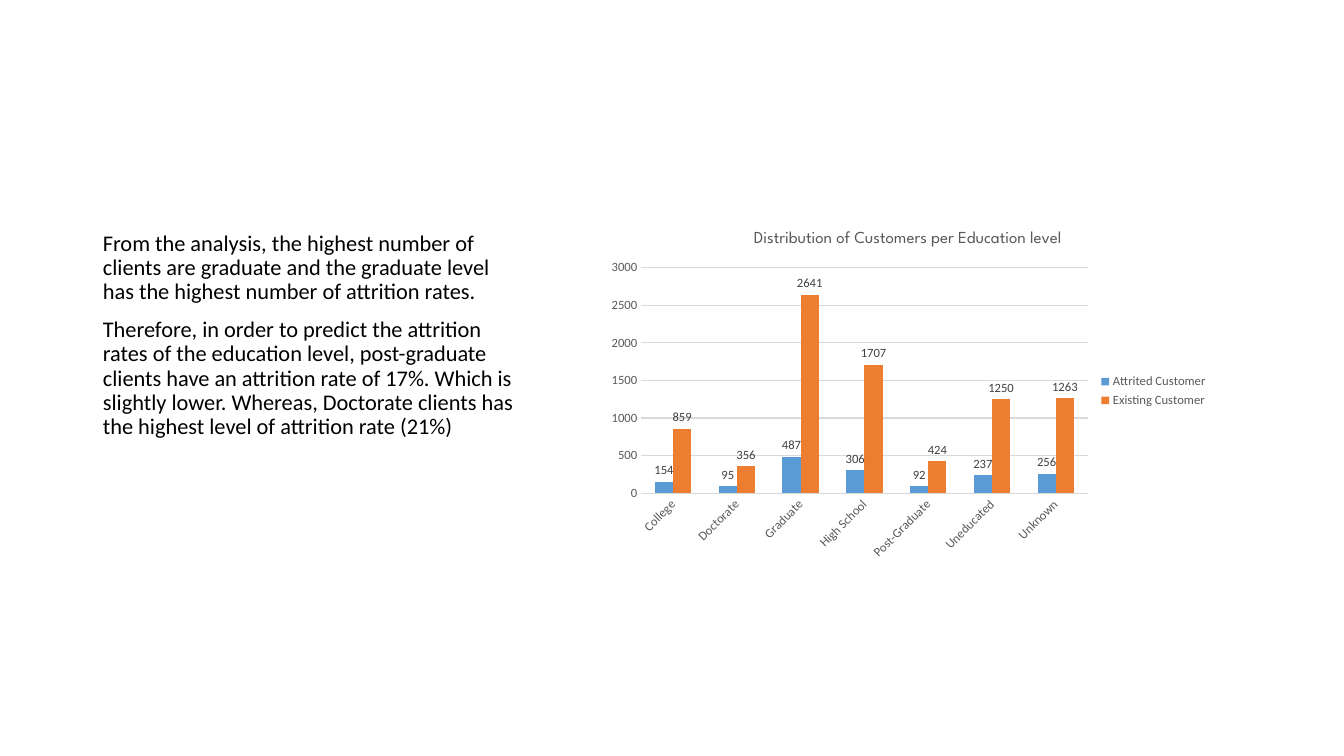
from dataclasses import dataclass

import pptx
import pptx.chart.data
import pptx.dml.color
import pptx.enum.chart
import pptx.enum.text
import pptx.oxml
import pptx.oxml.ns
import pptx.util
from pptx.util import Inches


@dataclass(frozen=True)
class Theme:
    """Colours, fonts and type sizes of the slide."""
    ink: str = "000000"
    muted: str = "595959"
    label: str = "404040"
    grid: str = "D9D9D9"
    series: tuple = ("5B9BD5", "ED7D31")
    body_font: str = "Calibri"
    title_font: str = "League Spartan"
    body_size: int = 16
    title_size: int = 12
    chart_size: int = 10
    small_size: int = 9


PARAGRAPHS = (
    "From the analysis, the highest number of clients are graduate and the "
    "graduate level has the highest number of attrition rates.",
    "Therefore, in order to predict the attrition rates of the education level, "
    "post-graduate clients have an attrition rate of 17%. Which is slightly lower. "
    "Whereas, Doctorate clients has the highest level of attrition rate (21%)",
)
CHART_TITLE = "Distribution of Customers per Education level"
EDUCATION_LEVELS = ("College", "Doctorate", "Graduate", "High School",
                    "Post-Graduate", "Uneducated", "Unknown")
CUSTOMERS = {
    "Attrited Customer": (154, 95, 487, 306, 92, 237, 256),
    "Existing Customer": (859, 356, 2641, 1707, 424, 1250, 1263),
}
PLOT_AREA = {"x": 0.07, "y": 0.15, "w": 0.72, "h": 0.64}


class SlideBuilder:
    """Holds the theme and the current slide, and adds elements to it."""

    def __init__(self, page, theme):
        """Keep the slide and its theme."""
        self.page = page
        self.theme = theme

    def style_font(self, font, size, color, name=None):
        """Apply size, colour and typeface to a font."""
        font.name = name or self.theme.body_font
        font.size = pptx.util.Pt(size)
        font.bold = False
        font.color.rgb = pptx.dml.color.RGBColor.from_string(color)

    def body(self, paragraphs, left, top, width, height):
        """Fill the caption placeholder and remove the unused ones."""
        for holder in list(self.page.placeholders):
            if holder.placeholder_format.idx != 2:
                holder.element.getparent().remove(holder.element)
        box = self.page.placeholders[2]
        box.left, box.top, box.width, box.height = left, top, width, height
        frame = box.text_frame
        frame.text = "\n".join(paragraphs)
        frame.word_wrap = True
        frame.auto_size = pptx.enum.text.MSO_AUTO_SIZE.NONE
        frame.vertical_anchor = pptx.enum.text.MSO_ANCHOR.TOP
        for para in frame.paragraphs:
            para.line_spacing = 0.9
            para.space_before = pptx.util.Pt(10)
            for span in para.runs:
                self.style_font(span.font, self.theme.body_size, self.theme.ink)

    def column_chart(self, title, categories, series, left, top, width, height):
        """Add a clustered column chart with labels and a legend."""
        theme = self.theme
        data = pptx.chart.data.CategoryChartData()
        data.categories = categories
        for name, values in series.items():
            data.add_series(name, values)
        chart = self.page.shapes.add_chart(
            pptx.enum.chart.XL_CHART_TYPE.COLUMN_CLUSTERED,
            left, top, width, height, data).chart
        self.style_font(chart.font, theme.chart_size, theme.ink)
        chart.has_title = True
        chart.chart_title.include_in_layout = False
        heading = chart.chart_title.text_frame
        heading.text = title
        self.style_font(heading.paragraphs[0].runs[0].font, theme.title_size,
                        theme.muted, theme.title_font)
        chart.has_legend = True
        chart.legend.position = pptx.enum.chart.XL_LEGEND_POSITION.RIGHT
        chart.legend.include_in_layout = False
        self.style_font(chart.legend.font, theme.small_size, theme.muted)
        self.style_axes(chart)
        self.style_columns(chart.plots[0])
        self.place_plot(chart, PLOT_AREA)

    def style_axes(self, chart):
        """Hide axis lines and ticks, slant categories and set the grid."""
        theme = self.theme
        for axis in (chart.category_axis, chart.value_axis):
            axis.major_tick_mark = pptx.enum.chart.XL_TICK_MARK.NONE
            axis.minor_tick_mark = pptx.enum.chart.XL_TICK_MARK.NONE
            axis.format.line.fill.background()
            self.style_font(axis.tick_labels.font, theme.small_size, theme.muted)
        slant = chart.category_axis._element.find(
            "c:txPr/a:bodyPr", pptx.oxml.ns._nsmap)
        slant.set("rot", "-2700000")
        values = chart.value_axis
        values.minimum_scale, values.maximum_scale, values.major_unit = 0, 3000, 500
        values.has_major_gridlines = True
        line = values.major_gridlines.format.line
        line.width = pptx.util.Pt(0.75)
        line.color.rgb = pptx.dml.color.RGBColor.from_string(theme.grid)

    def style_columns(self, plot):
        """Colour the columns and label each with its value."""
        plot.gap_width = 150
        plot.overlap = 0
        plot.vary_by_categories = False
        for columns, color in zip(plot.series, self.theme.series):
            columns.format.fill.solid()
            columns.format.fill.fore_color.rgb = (
                pptx.dml.color.RGBColor.from_string(color))
            labels = columns.data_labels
            labels.show_value = True
            labels.position = pptx.enum.chart.XL_LABEL_POSITION.OUTSIDE_END
            self.style_font(labels.font, self.theme.small_size, self.theme.label)

    def place_plot(self, chart, area):
        """Fix the inner plot area as fractions of the chart."""
        name = pptx.oxml.ns.qn
        plot_area = chart._chartSpace.chart.plotArea
        for old in plot_area.findall(name("c:layout")):
            plot_area.remove(old)
        modes = "".join(f'<c:{side}Mode val="edge"/>' for side in "xy")
        sizes = "".join(f'<c:{side} val="{size}"/>' for side, size in area.items())
        plot_area.insert(0, pptx.oxml.parse_xml(
            f'<c:layout {pptx.oxml.ns.nsdecls("c")}><c:manualLayout>'
            f'<c:layoutTarget val="inner"/>{modes}{sizes}'
            '</c:manualLayout></c:layout>'))


def main():
    """Build and save the deck."""
    deck = pptx.Presentation()
    deck.slide_width, deck.slide_height = Inches(13.33), Inches(7.5)
    caption_layout = deck.slide_layouts.get_by_name("Content with Caption")
    page = SlideBuilder(deck.slides.add_slide(caption_layout), Theme())
    page.body(PARAGRAPHS, Inches(0.92), Inches(2.25), Inches(4.3), Inches(4.17))
    page.column_chart(CHART_TITLE, EDUCATION_LEVELS, CUSTOMERS,
                      Inches(5.93), Inches(2.13), Inches(6.15), Inches(3.5))
    deck.save("out.pptx")


main()
